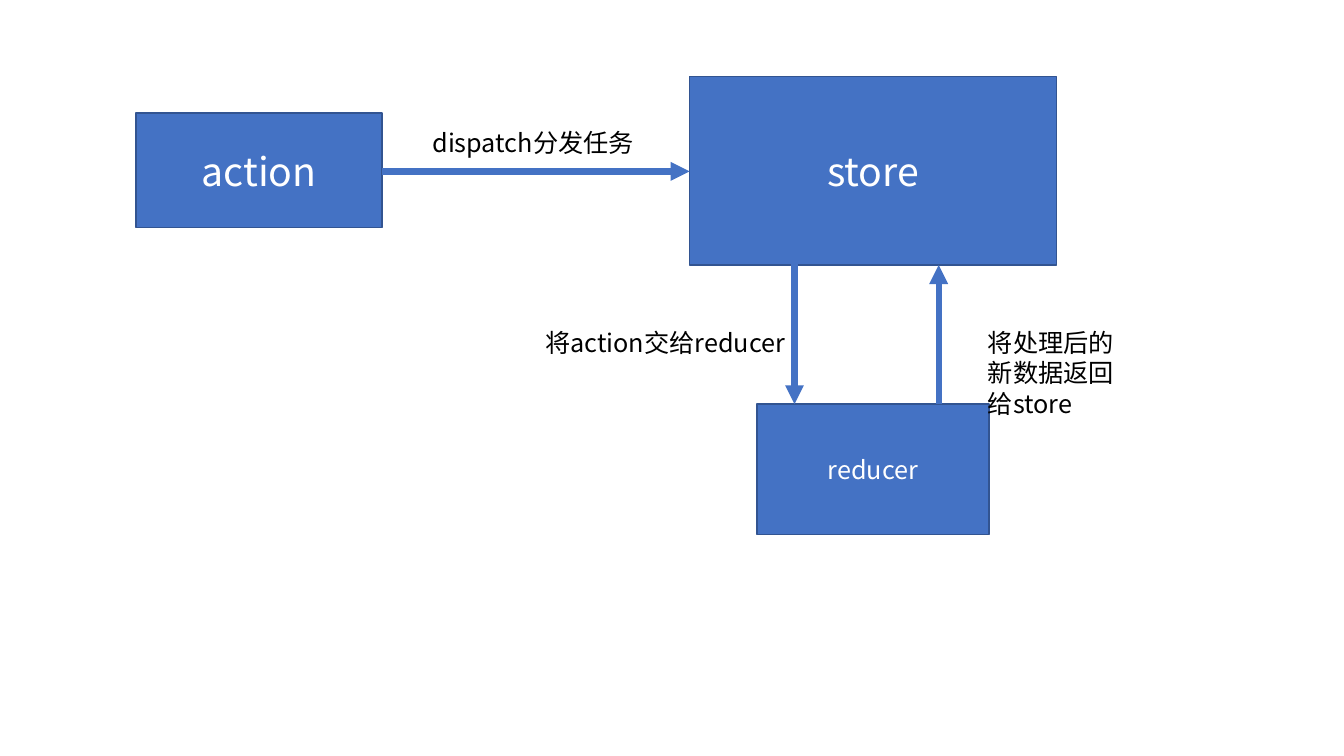
from dataclasses import dataclass

from lxml.etree import SubElement
from pptx import Presentation
from pptx.dml.color import RGBColor
from pptx.enum.shapes import MSO_CONNECTOR, MSO_SHAPE
from pptx.enum.text import MSO_ANCHOR, MSO_AUTO_SIZE, PP_ALIGN
from pptx.oxml.ns import qn
from pptx.slide import Slide
from pptx.text.text import TextFrame
from pptx.util import Inches, Pt


@dataclass(frozen=True)
class Theme:
    """Colours, font and sizes of the diagram."""
    blue: RGBColor = RGBColor(0x44, 0x72, 0xC4)
    border: RGBColor = RGBColor(0x32, 0x54, 0x91)
    white: RGBColor = RGBColor(0xFF, 0xFF, 0xFF)
    black: RGBColor = RGBColor(0, 0, 0)
    font: str = "Noto Sans CJK SC"
    large: float = 28
    normal: float = 18
    border_width: float = 1
    arrow_width: float = 4.5


@dataclass(frozen=True)
class Area:
    """A rectangle holding text, in inches."""
    text: str
    left: float
    top: float
    width: float
    height: float
    size: float

    @property
    def right(self) -> float:
        """Return the right edge."""
        return self.left + self.width

    @property
    def bottom(self) -> float:
        """Return the bottom edge."""
        return self.top + self.height

    def lengths(self) -> tuple[Inches, ...]:
        """Return left, top, width and height as lengths."""
        return tuple(map(Inches, (self.left, self.top, self.width, self.height)))


@dataclass(frozen=True)
class Flow:
    """An arrow between two points, in inches."""
    start: tuple[float, float]
    end: tuple[float, float]


THEME = Theme()

ACTION = Area("action", 1.35, 1.12, 2.44, 1.14, THEME.large)
STORE = Area("store", 6.84, 0.76, 3.64, 1.87, THEME.large)
REDUCER = Area("reducer", 7.51, 4.01, 2.3, 1.29, THEME.normal)
NODES = (ACTION, STORE, REDUCER)

DISPATCH_Y, HANDOVER_X, RETURN_X = 1.7, 7.88, 9.31
FLOWS = (
    Flow((ACTION.right, DISPATCH_Y), (STORE.left, DISPATCH_Y)),
    Flow((HANDOVER_X, 2.55), (HANDOVER_X, REDUCER.top)),
    Flow((RETURN_X, REDUCER.top), (RETURN_X, STORE.bottom)),
)
LABELS = (
    Area("dispatch分发任务", 4.19, 1.21, 2.75, 0.4, THEME.normal),
    Area("将action交给reducer", 5.31, 3.2, 2.92, 0.4, THEME.normal),
    Area("将处理后的新数据返回给store", 9.7, 3.2, 1.47, 1.01, THEME.normal),
)


def write(frame: TextFrame, text: str, size: float, color: RGBColor) -> None:
    """Write one wrapped run in the theme font."""
    frame.word_wrap = True
    run = frame.paragraphs[0].add_run()
    run.text = text
    run.font.size = Pt(size)
    run.font.name = THEME.font
    run.font.color.rgb = color
    SubElement(run.font._element, qn("a:ea"), typeface=THEME.font)


def draw_node(slide: Slide, node: Area) -> None:
    """Draw a filled box with centred text."""
    box = slide.shapes.add_shape(MSO_SHAPE.RECTANGLE, *node.lengths())
    box.shadow.inherit = False
    box.fill.solid()
    box.fill.fore_color.rgb = THEME.blue
    box.line.color.rgb = THEME.border
    box.line.width = Pt(THEME.border_width)
    box.text_frame.vertical_anchor = MSO_ANCHOR.MIDDLE
    write(box.text_frame, node.text, node.size, THEME.white)
    box.text_frame.paragraphs[0].alignment = PP_ALIGN.CENTER


def draw_flow(slide: Slide, flow: Flow) -> None:
    """Draw an arrow pointing at the end of the flow."""
    arrow = slide.shapes.add_connector(
        MSO_CONNECTOR.STRAIGHT, *map(Inches, flow.start + flow.end))
    arrow.line.color.rgb = THEME.blue
    arrow.line.width = Pt(THEME.arrow_width)
    SubElement(arrow.line._get_or_add_ln(), qn("a:tailEnd"), type="triangle")
    SubElement(arrow._element.spPr, qn("a:effectLst"))


def draw_label(slide: Slide, label: Area) -> None:
    """Draw a text box that grows with its text."""
    frame = slide.shapes.add_textbox(*label.lengths()).text_frame
    frame.auto_size = MSO_AUTO_SIZE.SHAPE_TO_FIT_TEXT
    write(frame, label.text, label.size, THEME.black)


def main() -> None:
    """Build and save the data flow slide."""
    deck = Presentation()
    deck.slide_width, deck.slide_height = Inches(13.33), Inches(7.5)
    slide = deck.slides.add_slide(deck.slide_layouts[6])
    for node in NODES:
        draw_node(slide, node)
    for flow in FLOWS:
        draw_flow(slide, flow)
    for label in LABELS:
        draw_label(slide, label)
    deck.save("out.pptx")


main()
